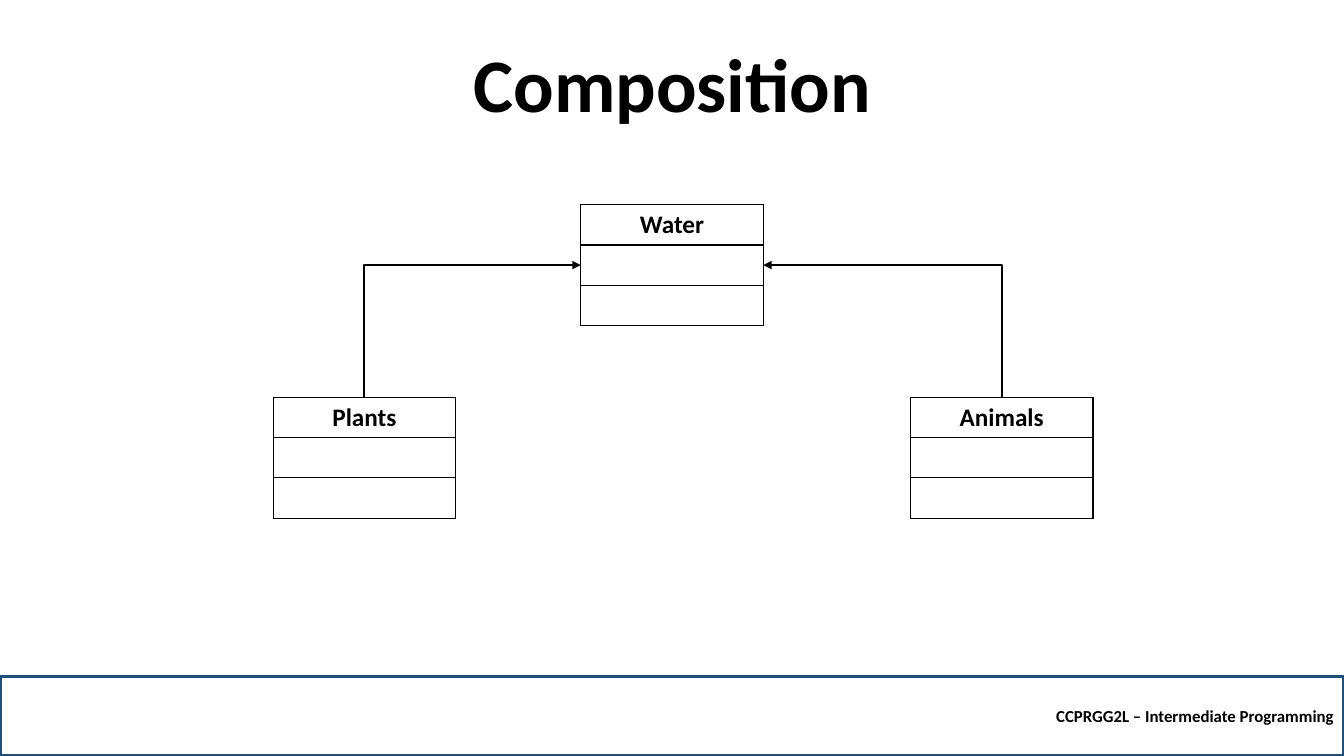
from lxml import etree
from pptx import Presentation
from pptx import util as u
from pptx.dml.color import RGBColor
from pptx.enum import shapes, text
from pptx.oxml import ns

COLOURS = {"ink": "000000", "footer_line": "1F4E79"}
FONT = "Calibri"
BOX_WIDTH, ROW_HEIGHT, ROWS = 1.81, 0.4, 3


def colour(name):
    return RGBColor.from_string(COLOURS[name])


def write(frame, words, size, align):
    paragraph = frame.paragraphs[0]
    paragraph.alignment = align
    run = paragraph.add_run()
    run.text = words
    run.font.name, run.font.size, run.font.bold = FONT, u.Pt(size), True
    run.font.color.rgb = colour("ink")
    return paragraph


def add_title(slide, words):
    title = slide.shapes.add_textbox(u.Inches(1.67), u.Inches(0.54), u.Inches(10), u.Inches(0.79))
    title.text_frame.word_wrap = True
    title.text_frame.vertical_anchor = text.MSO_ANCHOR.BOTTOM
    write(title.text_frame, words, 54, text.PP_ALIGN.CENTER).line_spacing = 0.9


def add_footer(slide, words):
    footer = slide.shapes.add_shape(shapes.MSO_SHAPE.RECTANGLE, 0, u.Inches(6.71),
                                    u.Inches(13.33), u.Inches(0.79))
    footer.shadow.inherit = False
    footer.fill.background()
    footer.line.color.rgb = colour("footer_line")
    footer.line.width = u.Pt(2.25)
    footer.text_frame.vertical_anchor = text.MSO_ANCHOR.MIDDLE
    write(footer.text_frame, words, 12, text.PP_ALIGN.RIGHT)


def add_borders(cell):
    properties = cell._tc.get_or_add_tcPr()
    for position, side in enumerate(("lnL", "lnR", "lnT", "lnB")):
        border = etree.Element(ns.qn(f"a:{side}"), w=str(u.Pt(1)))
        fill = etree.SubElement(border, ns.qn("a:solidFill"))
        etree.SubElement(fill, ns.qn("a:srgbClr"), val=COLOURS["ink"])
        properties.insert(position, border)


def add_class_box(slide, name, left, top):
    box = slide.shapes.add_table(ROWS, 1, u.Inches(left), u.Inches(top), u.Inches(BOX_WIDTH),
                                 u.Inches(ROW_HEIGHT * ROWS)).table
    box.first_row = box.horz_banding = False
    for row in box.rows:
        row.height = u.Inches(ROW_HEIGHT)
        row.cells[0].fill.background()
        add_borders(row.cells[0])
    write(box.cell(0, 0).text_frame, name, 18, text.PP_ALIGN.CENTER)


def add_bent_arrow(slide, start, end):
    """Go straight up from start, then sideways to end."""
    (x1, y1), (x2, y2) = start, end
    middle_x, middle_y = (x1 + x2) / 2, (y1 + y2) / 2
    half_run, half_rise = abs(x2 - x1) / 2, (y1 - y2) / 2
    side = 1 if x2 > x1 else -1
    # The elbow is laid out before its quarter turn
    arrow = slide.shapes.add_connector(
        shapes.MSO_CONNECTOR.ELBOW,
        u.Inches(middle_x + side * half_rise), u.Inches(middle_y + half_run),
        u.Inches(middle_x - side * half_rise), u.Inches(middle_y - half_run))
    arrow.line.color.rgb = colour("ink")
    arrow.line.width = u.Pt(1.5)
    properties = arrow._element.spPr
    properties.find(ns.qn("a:xfrm")).set("rot", str((90 if side > 0 else 270) * 60000))
    properties.find(ns.qn("a:prstGeom")).set("prst", "bentConnector2")
    etree.SubElement(properties.find(ns.qn("a:ln")), ns.qn("a:tailEnd"), type="triangle")
    etree.SubElement(properties, ns.qn("a:effectLst"))


def main():
    deck = Presentation()
    deck.slide_width, deck.slide_height = u.Inches(13.33), u.Inches(7.5)
    slide = deck.slides.add_slide(deck.slide_layouts[6])

    add_title(slide, "Composition")
    add_footer(slide, "CCPRGG2L – Intermediate Programming")

    # Class boxes
    water_left, water_top, parts_top = 5.76, 2.03, 3.94
    add_class_box(slide, "Water", water_left, water_top)
    water_middle = water_top + ROW_HEIGHT * ROWS / 2

    # Each part points to the near side of the water box
    for name, left, water_side in (("Plants", 2.71, water_left),
                                   ("Animals", 9.03, water_left + BOX_WIDTH)):
        add_class_box(slide, name, left, parts_top)
        add_bent_arrow(slide, (left + BOX_WIDTH / 2, parts_top), (water_side, water_middle))

    deck.save("out.pptx")


if __name__ == "__main__":
    main()
